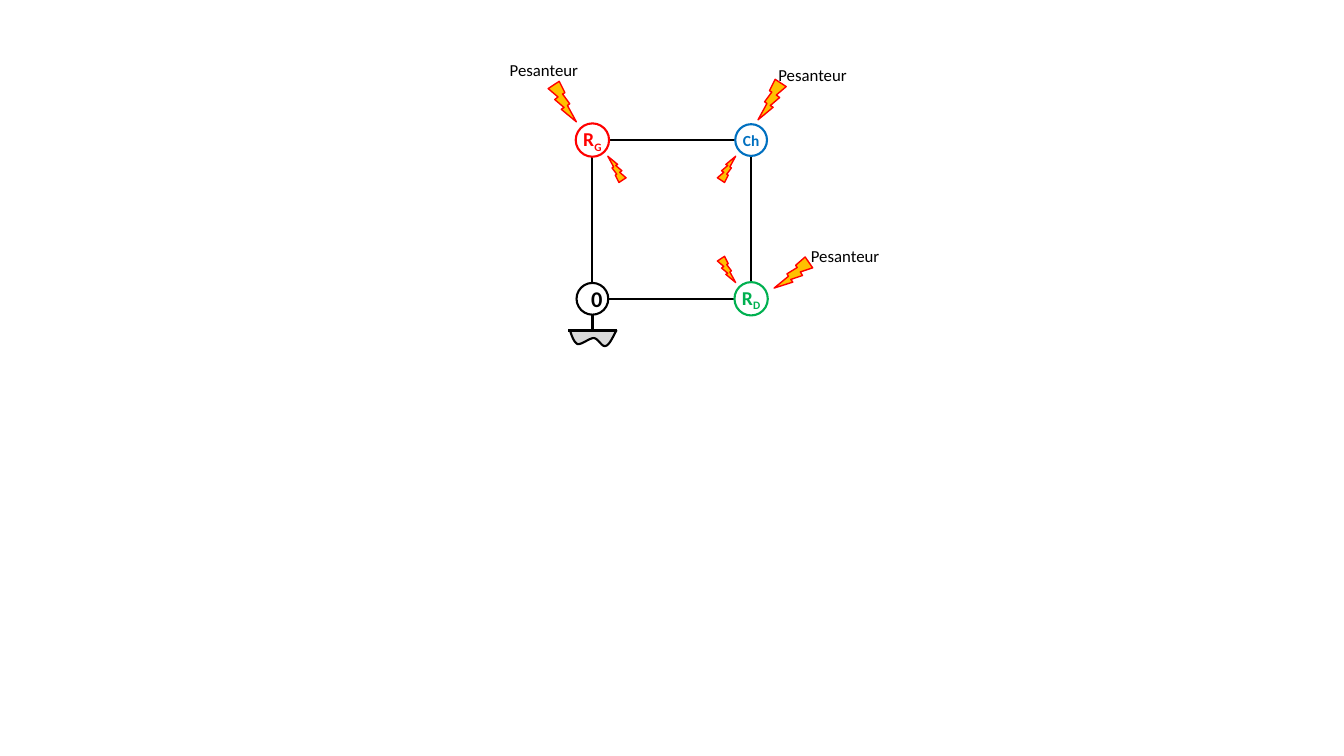
from pptx import Presentation
from pptx.dml.color import RGBColor
from pptx.enum.shapes import MSO_CONNECTOR, MSO_SHAPE
from pptx.enum.text import MSO_ANCHOR, MSO_AUTO_SIZE, PP_ALIGN
from pptx.oxml.ns import qn
from pptx.util import Cm, Pt
from lxml.etree import SubElement

BLACK, WHITE, RED, BLUE, GREEN = "000000", "FFFFFF", "FF0000", "0070C0", "00B050"
AMBER, GREY = "FFC000", "D9D9D9"
OUTER_BOLT, INNER_BOLT = (0.71, 1.02), (0.46, 0.66)
INNER_X, INNER_Y = 0.62, 0.74
# Bezier points of the soil's lower edge, in cm from the ground node
SOIL_START = (-0.56, 0.81)
SOIL_CURVES = [
    [(-0.51, 0.97), (-0.46, 1.09), (-0.38, 1.14)],
    [(-0.28, 1.17), (-0.08, 0.99), (0.03, 0.99)],
    [(0.15, 0.99), (0.23, 1.22), (0.33, 1.19)],
    [(0.43, 1.17), (0.51, 0.97), (0.61, 0.79)],
]


def color(value):
    return RGBColor.from_string(value)


def centred(x, y, width, height):
    """Left, top, width and height of a box given its centre, in cm."""
    return Cm(x - width / 2), Cm(y - height / 2), Cm(width), Cm(height)


def style(shape, fill, line, weight):
    shape.shadow.inherit = False
    shape.fill.solid()
    shape.fill.fore_color.rgb = color(fill)
    shape.line.color.rgb = color(line)
    shape.line.width = Pt(weight)


def write(box, text, subscript="", size=12, ink=BLACK, bold=False, inset=0):
    frame = box.text_frame
    frame.word_wrap = True
    if inset is not None:
        frame.margin_left = frame.margin_right = Cm(inset)
        frame.margin_top = frame.margin_bottom = Cm(inset)
    para = frame.paragraphs[0]
    para.alignment = PP_ALIGN.CENTER
    for part in filter(None, (text, subscript)):
        span = para.add_run()
        span.text = part
        span.font.name = "Calibri"
        span.font.size = Pt(size)
        span.font.bold = bold
        span.font.color.rgb = color(ink)
    if subscript:
        span.font._element.set("baseline", "-25000")


def add_node(page, x, y, diameter, ink, text, **text_format):
    node = page.shapes.add_shape(MSO_SHAPE.OVAL, *centred(x, y, diameter, diameter))
    style(node, WHITE, ink, 1.5)
    node.text_frame.vertical_anchor = MSO_ANCHOR.MIDDLE
    write(node, text, ink=ink, bold=True, **text_format)


def add_bolt(page, x, y, dx, dy, size, rotation=0):
    """Place a bolt at an offset from a node, its tip turned to the node."""
    bolt = page.shapes.add_shape(MSO_SHAPE.LIGHTNING_BOLT, *centred(x + dx, y + dy, *size))
    style(bolt, AMBER, RED, 1)
    bolt.rotation = rotation
    for flip, offset in (("flipH", dx), ("flipV", dy)):
        if offset > 0:
            bolt.element.spPr.xfrm.set(flip, "1")


def add_label(page, x, y, text):
    label = page.shapes.add_textbox(*centred(x, y, 3.45, 0.51))
    write(label, text)
    label.text_frame.auto_size = MSO_AUTO_SIZE.SHAPE_TO_FIT_TEXT


def bezier(start, first, second, end, steps=12):
    """Points along a cubic curve, without its start."""
    for step in range(1, steps + 1):
        t = step / steps
        weights = ((1 - t) ** 3, 3 * t * (1 - t) ** 2, 3 * t * t * (1 - t), t ** 3)
        yield tuple(
            sum(w * p[axis] for w, p in zip(weights, (start, first, second, end)))
            for axis in (0, 1)
        )


def add_ground(page, x, y):
    shapes = page.shapes.add_group_shape().shapes
    points = [SOIL_START]
    for curve in SOIL_CURVES:
        points.extend(bezier(points[-1], *curve))
    edge = [(Cm(x + dx), Cm(y + dy)) for dx, dy in points]
    builder = shapes.build_freeform(*edge[0])
    builder.add_line_segments(edge[1:], close=False)
    style(builder.convert_to_shape(), GREY, BLACK, 1.5)

    bar = y + 0.79
    for ends in ((x, y + 0.4, x, bar), (x + 0.61, bar, x - 0.61, bar)):
        line = shapes.add_connector(MSO_CONNECTOR.STRAIGHT, *map(Cm, ends))
        line.line.color.rgb = color(BLACK)
        line.line.width = Pt(2.25)
        SubElement(line.element.spPr, qn("a:effectLst"))


def add_circuit(page, left, top, side):
    right, bottom = left + side, top + side
    frame = page.shapes.add_shape(MSO_SHAPE.RECTANGLE, Cm(left), Cm(top), Cm(side), Cm(side))
    style(frame, WHITE, BLACK, 1.5)
    add_ground(page, left, bottom)

    add_node(page, right, top, 0.8, BLUE, "Ch", size=11)
    add_node(page, left, bottom, 0.8, BLACK, "0", size=16, inset=None)
    add_node(page, right, bottom, 0.84, GREEN, "R", subscript="D", size=14)
    add_node(page, left, top, 0.84, RED, "R", subscript="G", size=14)

    # Node, outer bolt offset and rotation, label offset
    loads = [
        (left, top, (-0.76, -0.97), 0, (-1.22, -1.78)),
        (right, bottom, (1.1, -0.61), 22, (2.37, -1.07)),
        (right, top, (0.53, -1.02), 0, (1.55, -1.65)),
    ]
    for x, y, bolt, rotation, label in loads:
        add_bolt(page, x, y, *bolt, OUTER_BOLT, rotation)
        add_label(page, x + label[0], y + label[1], "Pesanteur")
        inward_x = INNER_X if x == left else -INNER_X
        inward_y = INNER_Y if y == top else -INNER_Y
        add_bolt(page, x, y, inward_x, inward_y, INNER_BOLT)


def main():
    deck = Presentation()
    deck.slide_width, deck.slide_height = Cm(33.87), Cm(19.05)
    page = deck.slides.add_slide(deck.slide_layouts[6])
    add_circuit(page, left=14.93, top=3.53, side=4)
    deck.save("out.pptx")


if __name__ == "__main__":
    main()
